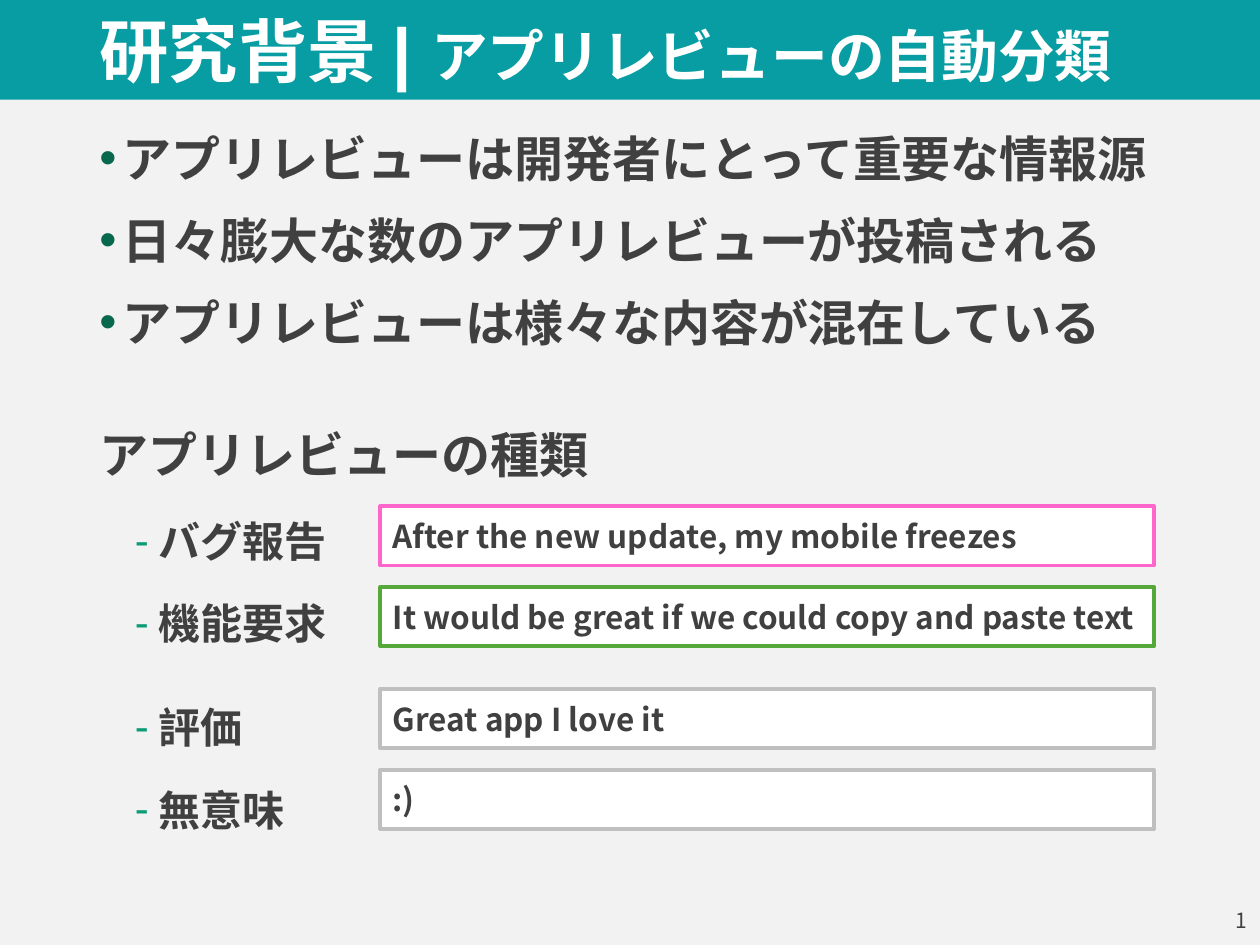
from lxml.etree import SubElement
from pptx import Presentation
from pptx.dml.color import RGBColor
from pptx.enum.shapes import MSO_SHAPE
from pptx.enum.text import MSO_ANCHOR, PP_ALIGN
from pptx.oxml.ns import qn
from pptx.util import Pt

COLORS = {
    "background": "F2F2F2", "banner": "089CA3", "white": "FFFFFF", "text": "404040",
    "bullet": "08684E", "dash": "0C9B74",
    "bug": "FF66CC", "request": "55A839", "other": "BFBFBF",
}
BODY_FONT = "Noto Sans CJK JP"
TITLE_FONT = "Arial"
MARGIN, CONTENT_WIDTH = 49.7, 620.6
LINE_HEIGHT, GAP = 32, 15

POINTS = [
    "アプリレビューは開発者にとって重要な情報源",
    "日々膨大な数のアプリレビューが投稿される",
    "アプリレビューは様々な内容が混在している",
]
HEADING = "アプリレビューの種類"
# Review type, space before it, example, top of the example, outline colour
REVIEW_TYPES = [
    ("バグ報告", GAP, "After the new update, my mobile freezes", 289.4, "bug"),
    ("機能要求", GAP, "It would be great if we could copy and paste text", 335.5, "request"),
    ("評価", 27.5, "Great app I love it", 393.8, "other"),
    ("無意味", GAP, ":)", 439.9, "other"),
]


def rgb(name):
    return RGBColor.from_string(COLORS[name])


def set_font(font, size, color="text", bold=True, face=BODY_FONT):
    font.size, font.bold, font.name = Pt(size), bold, face
    font.color.rgb = rgb(color)
    properties = font._element
    for tag in ("a:ea", "a:cs"):
        SubElement(properties, qn(tag), typeface=BODY_FONT)


def add_box(slide, left, top, width, height, fill, outline=None):
    box = slide.shapes.add_shape(MSO_SHAPE.RECTANGLE, Pt(left), Pt(top), Pt(width), Pt(height))
    box.shadow.inherit = False
    box.fill.solid()
    box.fill.fore_color.rgb = rgb(fill)
    if outline:
        box.line.color.rgb = rgb(outline)
        box.line.width = Pt(2.25)
    else:
        box.line.fill.background()
    return box


def format_title(slide):
    title = slide.shapes.title
    title.left, title.top = Pt(MARGIN), Pt(6.5)
    title.width, title.height = Pt(CONTENT_WIDTH), Pt(50.4)
    title.text_frame.vertical_anchor = MSO_ANCHOR.MIDDLE
    paragraph = title.text_frame.paragraphs[0]
    paragraph.alignment = PP_ALIGN.LEFT
    paragraph.line_spacing = 0.9
    for text, size in (("研究背景 | ", 39.6), ("アプリレビューの自動分類", 32.4)):
        run = paragraph.add_run()
        run.text = text
        set_font(run.font, size, "white", face=TITLE_FONT)


def set_bullet(paragraph, symbol, color, indent):
    properties = paragraph._p.get_or_add_pPr()
    properties.set("marL", str(Pt(indent)))
    properties.set("indent", str(-Pt(13.5)))
    bullet_color = SubElement(properties, qn("a:buClr"))
    SubElement(bullet_color, qn("a:srgbClr"), val=COLORS[color])
    SubElement(properties, qn("a:buFont"), typeface=TITLE_FONT)
    SubElement(properties, qn("a:buChar"), char=symbol)


def add_line(frame, text, size, space_before):
    """Append a paragraph, using the frame's empty first one if it is free."""
    paragraph = frame.paragraphs[0] if not frame.text else frame.add_paragraph()
    paragraph.text = text
    paragraph.line_spacing = Pt(LINE_HEIGHT)
    paragraph.space_before = Pt(space_before)
    set_font(paragraph.font, size)
    return paragraph


def add_body(slide):
    body = slide.shapes.add_textbox(Pt(MARGIN), Pt(71.3), Pt(CONTENT_WIDTH), Pt(415.4))
    frame = body.text_frame
    frame.word_wrap = True
    for index, point in enumerate(POINTS):
        paragraph = add_line(frame, point, 28, GAP if index else 0)
        set_bullet(paragraph, "•", "bullet", 13.5)
    add_line(frame, HEADING, 28, 43.5)
    for review_type, space_before, *_ in REVIEW_TYPES:
        paragraph = add_line(frame, review_type, 24, space_before)
        paragraph.level = 1
        set_bullet(paragraph, "-", "dash", 33.8)


def add_example(slide, text, top, outline):
    box = add_box(slide, 217.4, top, 442.1, 33.8, "white", outline)
    frame = box.text_frame
    frame.vertical_anchor = MSO_ANCHOR.MIDDLE
    frame.word_wrap = True
    paragraph = frame.paragraphs[0]
    paragraph.text = text
    paragraph.alignment = PP_ALIGN.LEFT
    set_font(paragraph.font, 18)


def add_page_number(slide):
    number = slide.shapes.add_textbox(Pt(558), Pt(511.2), Pt(162), Pt(28.8))
    frame = number.text_frame
    frame.word_wrap = True
    frame.vertical_anchor = MSO_ANCHOR.MIDDLE
    paragraph = frame.paragraphs[0]
    paragraph.text = "1"
    paragraph.alignment = PP_ALIGN.RIGHT
    set_font(paragraph.font, 12, bold=False)


def main():
    presentation = Presentation()
    presentation.slide_width, presentation.slide_height = Pt(720), Pt(540)
    slide = presentation.slides.add_slide(presentation.slide_layouts[5])
    slide.background.fill.solid()
    slide.background.fill.fore_color.rgb = rgb("background")

    banner = add_box(slide, 0, 0, 720, 56.9, "banner")
    slide.shapes._spTree.insert(2, banner._element)  # behind the title
    format_title(slide)
    add_body(slide)
    for _, _, example, top, outline in REVIEW_TYPES:
        add_example(slide, example, top, outline)
    add_page_number(slide)
    presentation.save("out.pptx")


if __name__ == "__main__":
    main()
